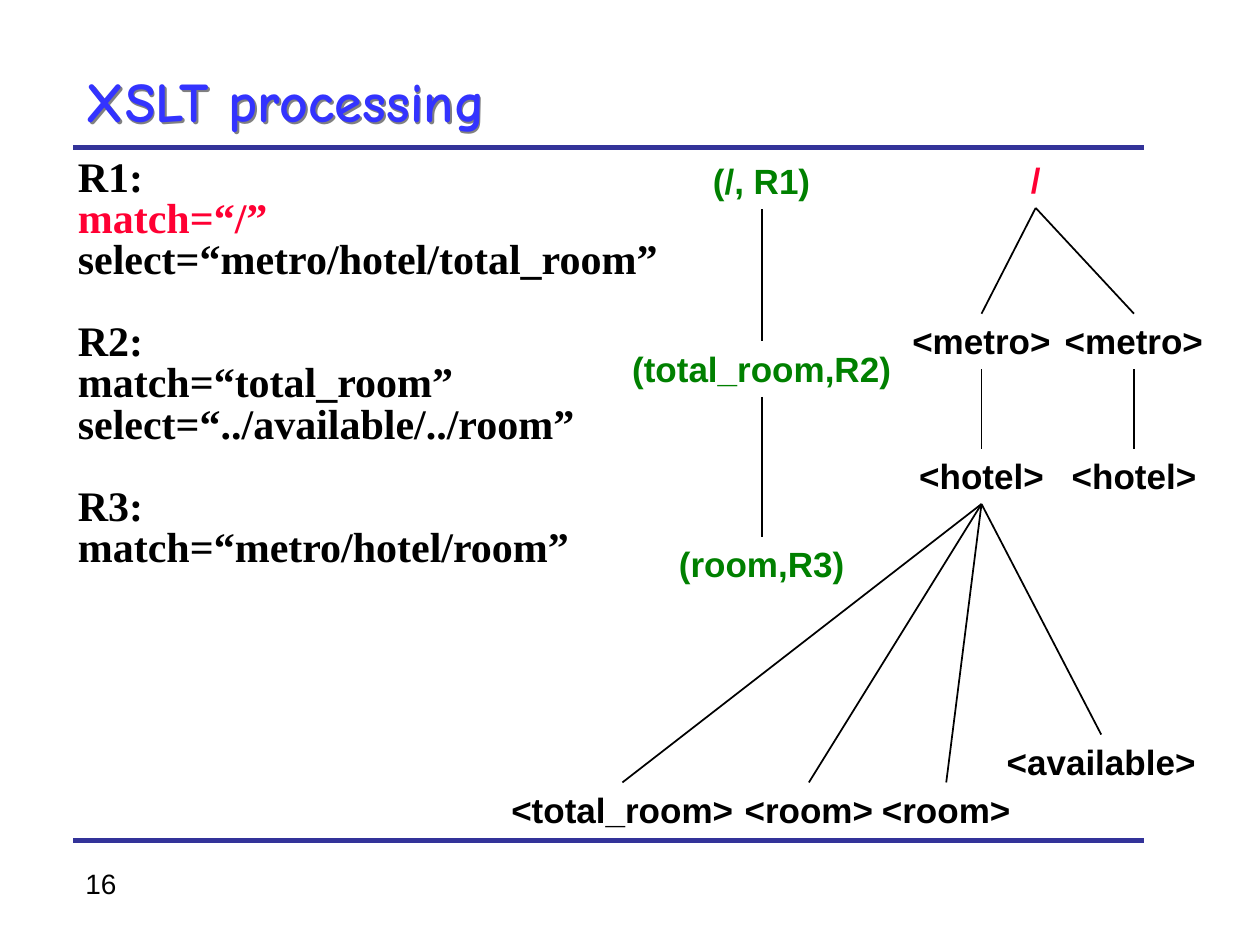
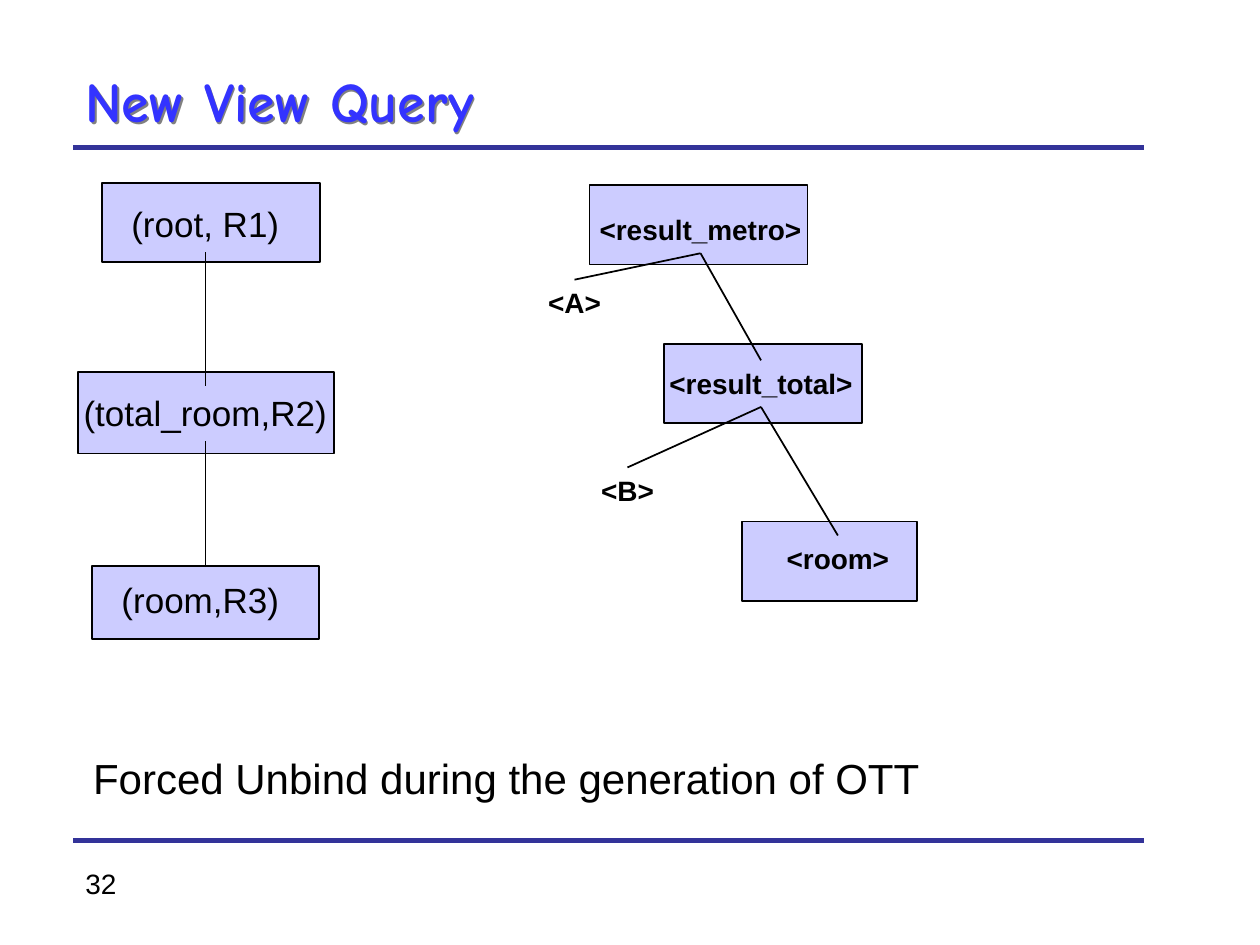
from lxml import etree
from pptx import Presentation, util as u
from pptx.dml.color import RGBColor
from pptx.enum import shapes, text
from pptx.oxml import parse_xml
from pptx.oxml.ns import nsdecls, qn

# The slide is a grid of 100 columns by 75 rows; every length is in cells.
COLS, ROWS = 100, 75
CELL = u.Inches(0.1)
COLORS = {"title": "3333FF", "shadow": "808080", "rule": "333399", "ink": "000000",
          "box": "CCCCFF", "root": "FF0033", "template": "008000"}
MARGIN = 5.8
SLACK = 1  # spare width that keeps a label on one line
TITLE_SHADOW = (f'<a:effectLst {nsdecls("a")}><a:outerShdw dist="17961" dir="2700000" '
                f'algn="ctr" rotWithShape="0"><a:srgbClr val="{COLORS["shadow"]}"/>'
                '</a:outerShdw></a:effectLst>')


def add_text(s, content, x, y, w, h, size, color="ink", bold=False, font="Arial", centred=False):
    """Add a text box, one paragraph per line; centred boxes take x as their middle."""
    if centred:
        w += SLACK
        x -= w / 2
    tb = s.shapes.add_textbox(*(int(n * CELL) for n in (x, y, w, h)))
    tf = tb.text_frame
    tf.word_wrap = not centred
    tf.text = content
    for p in tf.paragraphs:
        p.alignment = text.PP_ALIGN.CENTER if centred else text.PP_ALIGN.LEFT
        p.font.size, p.font.bold, p.font.name = u.Pt(size), bold, font
        p.font.color.rgb = RGBColor.from_string(COLORS[color])
    return tb


def add_line(s, x1=0, y1=0, x2=0, y2=0, color="ink", width=1, parent=None, child=None):
    """Add a straight line, or join the bottom of parent to the top of child."""
    c = s.shapes.add_connector(shapes.MSO_CONNECTOR.STRAIGHT,
                               *(int(n * CELL) for n in (x1, y1, x2, y2)))
    c.line.color.rgb = RGBColor.from_string(COLORS[color])
    c.line.width = u.Pt(width)
    etree.SubElement(c._element.spPr, qn("a:effectLst"))
    if parent is not None:
        c.begin_connect(parent, 2)
        c.end_connect(child, 0)


prs = Presentation()
prs.slide_width, prs.slide_height = COLS * CELL, ROWS * CELL

# Shared frame: title, two rules and the page number
slides = []
for title, number in (("XSLT processing", "16"), ("New View Query", "32")):
    s = prs.slides.add_slide(prs.slide_layouts[6])
    add_text(s, number, MARGIN, 68.3, 24.3, 3.7, 16)
    for y in (11.7, 66.7):
        add_line(s, MARGIN, y, 90.8, y, "rule", 3.25)
    tb = add_text(s, title, MARGIN, 5, 84.1, 6.7, 32, "title", True, "Comic Neue")
    tb.text_frame.vertical_anchor = text.MSO_ANCHOR.MIDDLE
    tb.text_frame.paragraphs[0].line_spacing = 0.85
    tb._element.spPr.append(parse_xml(TITLE_SHADOW))
    slides.append(s)
processing, view_query = slides

# XSLT processing: the rules
rules = """R1:
match=“/”
select=“metro/hotel/total_room”
R2:
match=“total_room”
select=“../available/../room”
R3:
match=“metro/hotel/room”"""
tf = add_text(processing, rules, 5.2, 11.5, 89.4, 55.4, 24, bold=True,
              font="Times New Roman").text_frame
tf.margin_top = tf.margin_bottom = u.Inches(0.25)
for i, p in enumerate(tf.paragraphs):
    p.line_spacing = 0.4
    p.space_before = u.Pt(35.4 if i and p.text.startswith("R") else 12)
tf.paragraphs[1].font.color.rgb = RGBColor.from_string(COLORS["root"])

# XSLT processing: name -> text, centre, top, width, colour
LEFT, RIGHT, CHAIN = 77.9, 90, 60.45
tree = {
    "root": ("/", 82.2, 12.1, 2.7, "root"),
    "metro 1": ("<metro>", LEFT, 24.9, 13, "ink"),
    "metro 2": ("<metro>", RIGHT, 24.9, 13, "ink"),
    "hotel 1": ("<hotel>", LEFT, 35.6, 11.9, "ink"),
    "hotel 2": ("<hotel>", RIGHT, 35.6, 11.9, "ink"),
    "total": ("<total_room>", 49.4, 62.1, 19.6, "ink"),
    "room 1": ("<room>", 64.2, 62.1, 12.2, "ink"),
    "room 2": ("<room>", 75.1, 62.1, 12.2, "ink"),
    "available": ("<available>", 87.4, 58.3, 17, "ink"),
    "R1": ("(/, R1)", CHAIN, 12.2, 9.7, "template"),
    "R2": ("(total_room,R2)", CHAIN, 27.1, 22.5, "template"),
    "R3": ("(room,R3)", CHAIN, 42.6, 15.1, "template"),
}
children = {"root": ("metro 1", "metro 2"), "metro 1": ("hotel 1",), "metro 2": ("hotel 2",),
            "hotel 1": ("total", "room 1", "room 2", "available"),
            "R1": ("R2",), "R2": ("R3",)}
nodes = {name: add_text(processing, label, x, y, w, 4.4, 20, color, True, centred=True)
         for name, (label, x, y, w, color) in tree.items()}
for parent, names in children.items():
    for child in names:
        add_line(processing, parent=nodes[parent], child=nodes[child])

# New View Query: boxes lie behind the labels
boxes = {}
for name, *place in (
    ("room", 58.9, 41.4, 13.9, 6.3), ("total", 52.7, 27.3, 15.7, 6.3),
    ("metro", 46.8, 14.7, 17.3, 6.3), ("R1", 8.1, 14.5, 17.3, 6.3),
    ("R2", 6.2, 29.5, 20.3, 6.5), ("R3", 7.3, 44.9, 18, 5.8),
):
    sp = view_query.shapes.add_shape(shapes.MSO_SHAPE.RECTANGLE, *(int(n * CELL) for n in place))
    sp.shadow.inherit = False
    sp.fill.solid()
    sp.fill.fore_color.rgb = RGBColor.from_string(COLORS["box"])
    sp.line.color.rgb = RGBColor.from_string(COLORS["ink"])
    sp.line.width = u.Pt(1)
    boxes[name] = sp

results = {
    "metro": ("<result_metro>", 55.6, 16.4, 18),
    "A": ("<A>", 45.6, 22.2, 6.2),
    "total": ("<result_total>", 60.4, 28.6, 16.5),
    "B": ("<B>", 49.8, 37.1, 6.2),
    "room": ("<room>", 66.5, 42.5, 10.1),
}
templates = {
    "R1": ("(root, R1)", 16.3, 15.6, 13.7),
    "R2": ("(total_room,R2)", 16.3, 30.6, 21.3),
    "R3": ("(room,R3)", 15.9, 45.4, 14.5),
}
labels = {}
for group, height, size, bold in ((results, 3.7, 16, True), (templates, 4.4, 20, False)):
    for name, (label, x, y, w) in group.items():
        labels[name] = add_text(view_query, label, x, y, w, height, size, bold=bold, centred=True)

for parent, child in (("metro", "A"), ("metro", "total"), ("total", "B"), ("total", "room"),
                      ("R1", "R2")):
    add_line(view_query, parent=labels[parent], child=labels[child])
add_line(view_query, parent=labels["R2"], child=boxes["R3"])

add_text(view_query, "Forced Unbind during the generation of OTT", 6.4, 59.2, 81.8, 5, 24)

prs.save("out.pptx")
